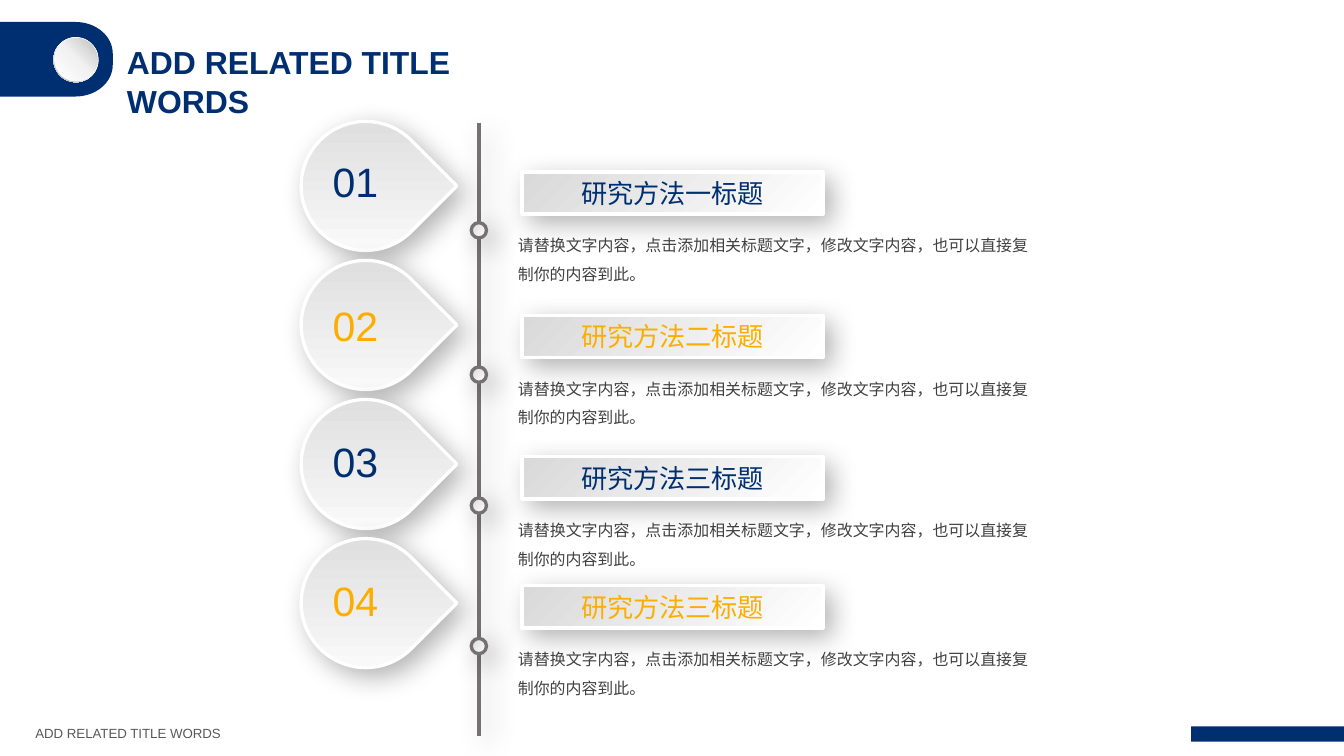
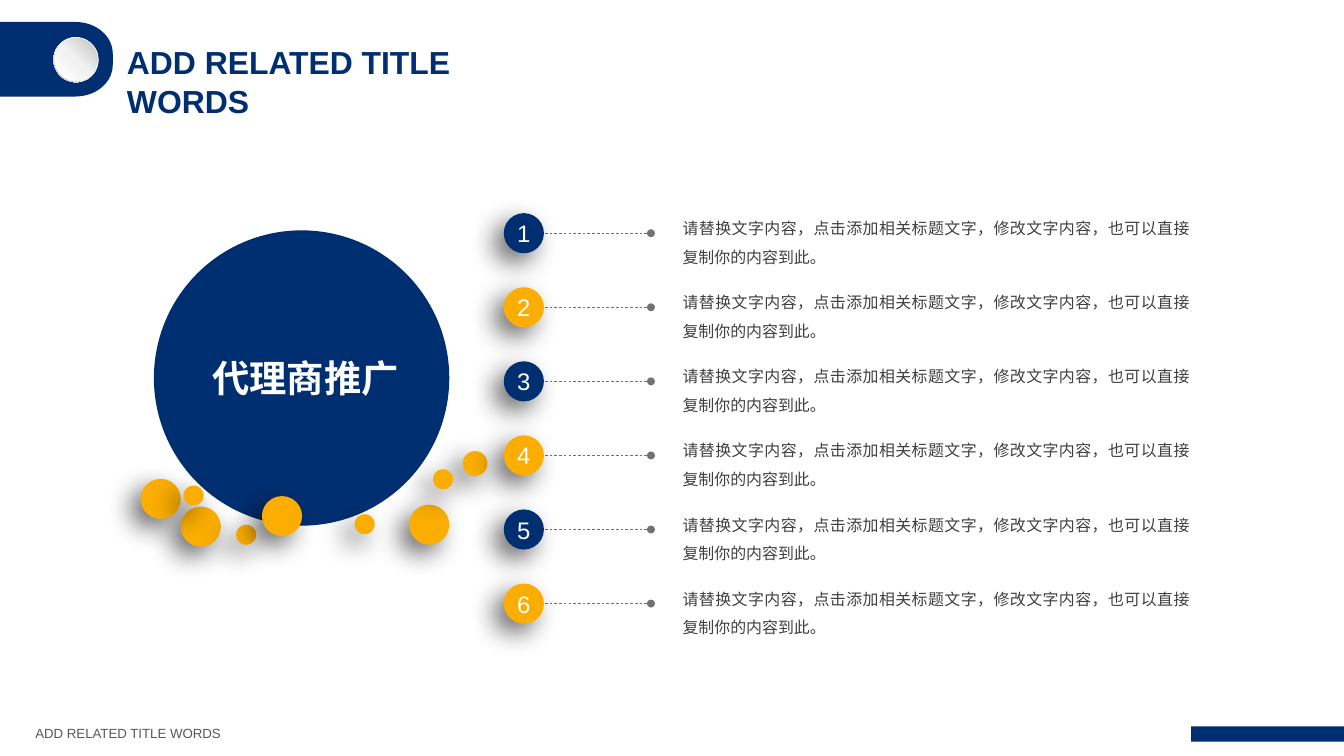
from math import cos, pi, sin

from lxml import etree
from pptx import Presentation
from pptx.dml.color import RGBColor
from pptx.enum.dml import MSO_LINE
from pptx.enum.shapes import MSO_CONNECTOR, MSO_SHAPE
from pptx.enum.text import MSO_ANCHOR, MSO_AUTO_SIZE, PP_ALIGN
from pptx.oxml.ns import qn
from pptx.util import Inches, Pt

OVAL, DONUT = MSO_SHAPE.OVAL, MSO_SHAPE.DONUT
RECT, TEAR = MSO_SHAPE.RECTANGLE, MSO_SHAPE.TEAR
STRAIGHT, DASH = MSO_CONNECTOR.STRAIGHT, MSO_LINE.DASH
LEFT, CENTER, JUSTIFY = PP_ALIGN.LEFT, PP_ALIGN.CENTER, PP_ALIGN.JUSTIFY
TOP, MIDDLE = MSO_ANCHOR.TOP, MSO_ANCHOR.MIDDLE
GROW = MSO_AUTO_SIZE.SHAPE_TO_FIT_TEXT

FONT = "Arial"
NAVY, AMBER, WHITE = "002F71", "FBAE01", "FFFFFF"
GREY, BODY, FOOTER = "767171", "404040", "595959"
ACCENTS = (NAVY, AMBER)
SILVER = ([(0, "D9D9D9"), (100, WHITE)], 45)
KNOB_RING = ([(0, WHITE), (55, "F2F2F2"), (100, "A6A6A6")], 135)
KNOB_DISC = ([(0, WHITE), (51, "F2F2F2"), (100, "BFBFBF")], 315)
SOFT_SHADOW = (30, 20, 8, 45)
DEEP_SHADOW = (60, 20, 10, 135)

# The grid has square cells, ten to the inch.
COLUMNS, ROWS = 140.6, 79.1
TITLE = "ADD RELATED TITLE WORDS"
DETAIL = "请替换文字内容，点击添加相关标题文字，修改文字内容，也可以直接复制你的内容到此。"


def cells(count):
    return Inches(count / 10)


def color(value):
    return RGBColor.from_string(value)


def paint(shape, fill):
    """Fill with a hex colour, or with (stops, clockwise angle)."""
    if isinstance(fill, str):
        shape.fill.solid()
        shape.fill.fore_color.rgb = color(fill)
        return
    stops, angle = fill
    shape.fill.gradient()
    shape.fill.gradient_angle = 360 - angle
    stop_list = shape._element.spPr.find(qn("a:gradFill")).find(qn("a:gsLst"))
    for stop in list(stop_list):
        stop_list.remove(stop)
    for position, value in stops:
        stop = etree.SubElement(stop_list, qn("a:gs"), pos=str(position * 1000))
        etree.SubElement(stop, qn("a:srgbClr"), val=value)


def add_shadow(effects, shadow):
    """Add an outer shadow given as opacity, blur, distance and angle."""
    opacity, blur, distance, angle = shadow
    outer = etree.SubElement(
        effects, qn("a:outerShdw"), blurRad=str(Pt(blur)), dist=str(Pt(distance)),
        dir=str(angle * 60000), algn="ctr", rotWithShape="0")
    tint = etree.SubElement(outer, qn("a:srgbClr"), val="000000")
    etree.SubElement(tint, qn("a:alpha"), val=str(opacity * 1000))


def finish(shape, fill, outline=None, shadow=None):
    paint(shape, fill)
    if outline:
        shape.line.color.rgb = color(outline)
        shape.line.width = Pt(2.5)
    else:
        shape.line.fill.background()
    shape.shadow.inherit = False
    if shadow:
        add_shadow(shape._element.spPr.find(qn("a:effectLst")), shadow)


def add_figure(page, kind, box, fill, outline=None, shadow=None):
    shape = page.shapes.add_shape(kind, *map(cells, box))
    finish(shape, fill, outline, shadow)
    return shape


def write(shape, text, size, ink, align=LEFT, anchor=TOP, inset=(1, 0.5),
          bold=False, spacing=None, wrap=True):
    frame = shape.text_frame
    frame.text = text
    frame.word_wrap = wrap
    frame.vertical_anchor = anchor
    frame.margin_left = frame.margin_right = cells(inset[0])
    frame.margin_top = frame.margin_bottom = cells(inset[1])
    para = frame.paragraphs[0]
    para.alignment = align
    if spacing:
        para.line_spacing = spacing
    font = para.runs[0].font
    font.name, font.size, font.bold = FONT, Pt(size), bold
    font.color.rgb = color(ink)


def add_text(page, box, text, size, ink, **style):
    label = page.shapes.add_textbox(*map(cells, box))
    write(label, text, size, ink, **style)
    label.text_frame.auto_size = GROW


def add_detail(page, box, inset):
    add_text(page, box, DETAIL, 12, BODY, align=JUSTIFY, spacing=1.5, inset=inset)


def add_line(page, start, end, width, shadow=None):
    line = page.shapes.add_connector(STRAIGHT, *map(cells, start + end))
    line.line.color.rgb = color(GREY)
    line.line.width = Pt(width)
    effects = etree.SubElement(line._element.spPr, qn("a:effectLst"))
    if shadow:
        add_shadow(effects, shadow)
    return line


def add_ringed_disc(page, box, ring_fill, disc_fill):
    left, top, size = box
    ring = add_figure(page, DONUT, (left, top, size, size), ring_fill)
    ring.adjustments[0] = 0.05
    gap = size * 0.02
    disc = size - 2 * gap
    add_figure(page, OVAL, (left + gap, top + gap, disc, disc), disc_fill)


def add_tab(page, box):
    """Draw a band whose right-hand corners are rounded."""
    left, top, width, height = box
    rx, ry = 3.9, 3.3
    steps = 16
    points = []
    for middle, first in ((top + ry, -pi / 2), (top + height - ry, 0)):
        for step in range(steps + 1):
            angle = first + step * pi / 2 / steps
            points.append((cells(left + width - rx + rx * cos(angle)),
                           cells(middle + ry * sin(angle))))
    points.append((cells(left), cells(top + height)))
    builder = page.shapes.build_freeform(cells(left), cells(top))
    builder.add_line_segments(points, close=True)
    finish(builder.convert_to_shape(), NAVY)


def add_frame(page):
    """Add the title and footer that every slide carries."""
    add_tab(page, (-0.2, 2.3, 12, 7.8))
    add_ringed_disc(page, (5.6, 3.9, 4.7), KNOB_RING, KNOB_DISC)
    add_text(page, (12.3, 4, 43.3, 9.1), TITLE, 24, NAVY, bold=True)
    add_text(page, (2.6, 75.4, 21.9, 2.7), TITLE, 10, FOOTER,
             inset=(1.1, 0.5), wrap=False)
    add_figure(page, RECT, (COLUMNS - 16, 76, 16, 1.6), NAVY)


def add_methods(page, left, top):
    # number row, title row, node row, title
    methods = (
        (3.2, 5.3, 10.6, "研究方法一标题"),
        (18.2, 20.3, 25.7, "研究方法二标题"),
        (32.5, 35.1, 39.4, "研究方法三标题"),
        (47, 48.6, 54.1, "研究方法三标题"),
    )
    spine = left + 18.6
    add_line(page, (spine, top + 0.2), (spine, top + 64.3), 2.5, SOFT_SHADOW)
    for index, (number_row, title_row, node_row, title) in enumerate(methods):
        ink = ACCENTS[index % 2]
        add_figure(page, OVAL, (spine - 0.8, top + node_row, 1.6, 1.6),
                   SILVER, GREY, SOFT_SHADOW)
        drop = add_figure(page, TEAR, (left, top + 14.55 * index, 13.5, 13.5),
                          SILVER, WHITE, SOFT_SHADOW)
        drop.rotation = 45
        add_text(page, (left + 2.3, top + number_row, 10.1, 6.2),
                 f"{index + 1:02}", 30.9, ink)
        plate = add_figure(page, RECT, (left + 23.1, top + title_row, 31.5, 4.4),
                           SILVER, WHITE, SOFT_SHADOW)
        write(plate, title, 19.7, ink, align=CENTER, anchor=MIDDLE)
        add_detail(page, (left + 21.7, top + title_row + 5.2, 55.4, 6.7), (1, 0.5))


def add_hub(page, left, top):
    """Draw the large disc, its caption and the beads around it."""
    # column, row, size
    beads = (
        (4.2, 28.9, 4.2), (10, 30.8, 2.1), (12.7, 27.8, 4.2),
        (22.4, 29.7, 2.1), (0, 26, 4.2), (4.5, 26.7, 2.1),
        (28.1, 28.7, 4.2), (33.7, 23.1, 2.6), (30.6, 25, 2.1),
    )
    add_ringed_disc(page, (left + 1.4, top, 30.9), NAVY, NAVY)
    for column, row, size in beads:
        add_figure(page, OVAL, (left + column, top + row, size, size),
                   AMBER, shadow=DEEP_SHADOW)
    add_text(page, (left + 6.5, top + 13.1, 21.5, 4.7), "代理商推广", 28.1,
             WHITE, align=CENTER, inset=(0, 0), bold=True)


def add_numbered_points(page, left, top, count=6, pitch=7.75):
    badge_size = 4.2
    for index in range(count):
        row = top + pitch * index
        middle = row + badge_size / 2
        leader = add_line(page, (left + 3.3, middle), (left + 15.4, middle), 0.5)
        leader.line.dash_style = DASH
        etree.SubElement(leader.line._get_or_add_ln(), qn("a:tailEnd"), type="oval")
        badge = add_figure(page, OVAL, (left, row, badge_size, badge_size),
                           ACCENTS[index % 2], shadow=DEEP_SHADOW)
        write(badge, str(index + 1), 18, WHITE, align=CENTER, anchor=MIDDLE,
              inset=(0, 0), wrap=False)
        add_detail(page, (left + 18.7, row - 0.4, 53.1, 5.7), (0, 0))


def main():
    deck = Presentation()
    deck.slide_width, deck.slide_height = cells(COLUMNS), cells(ROWS)
    blank = deck.slide_layouts[6]

    page = deck.slides.add_slide(blank)
    add_methods(page, 31.5, 12.7)
    add_frame(page)

    page = deck.slides.add_slide(blank)
    add_hub(page, 14.7, 24.1)
    add_numbered_points(page, 52.7, 22.3)
    add_frame(page)

    deck.save("out.pptx")


if __name__ == "__main__":
    main()
